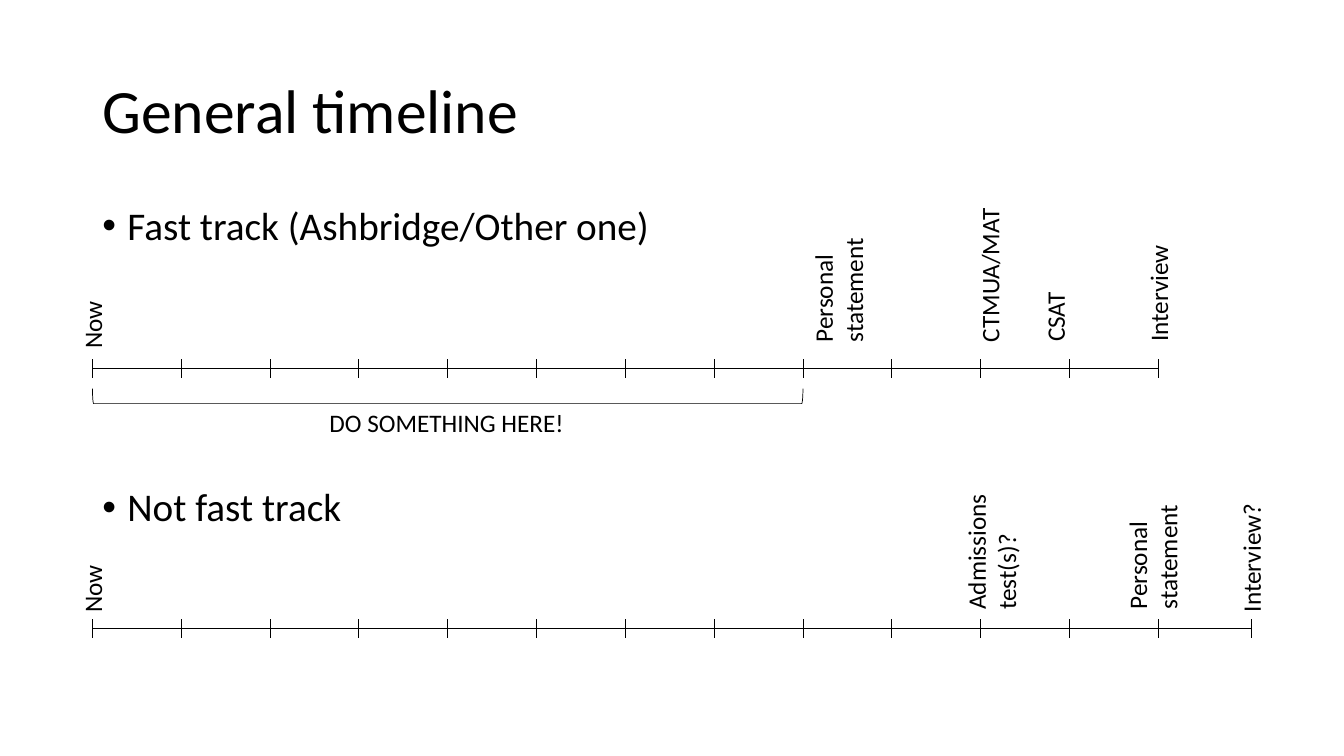
from lxml import etree
from pptx import Presentation
from pptx.dml.color import RGBColor
from pptx.enum.shapes import MSO_CONNECTOR, MSO_SHAPE
from pptx.enum.text import MSO_ANCHOR, PP_ALIGN
from pptx.oxml.ns import qn
from pptx.util import Pt

STRAIGHT = MSO_CONNECTOR.STRAIGHT
BRACKET = MSO_SHAPE.RIGHT_BRACKET
MIDDLE, TOP = MSO_ANCHOR.MIDDLE, MSO_ANCHOR.TOP
LEFT, CENTER = PP_ALIGN.LEFT, PP_ALIGN.CENTER

FONT = "Calibri"
BLACK = "000000"
STEP = 63.44
TICK = 6.6
LABEL_HEIGHT = {1: 29.1, 2: 50.9}


def colour(hex_string):
    return RGBColor.from_string(hex_string)


def set_text(s, text, size, align=LEFT, anchor=TOP):
    tf = s.text_frame
    tf.word_wrap = True
    tf.vertical_anchor = anchor
    tf.text = text
    p = tf.paragraphs[0]
    p.alignment = align
    font = p.runs[0].font
    font.name, font.size = FONT, Pt(size)
    font.color.rgb = colour(BLACK)
    return p


def add_text(slide, text, size, left, top, width, height, align=LEFT):
    s = slide.shapes.add_textbox(Pt(left), Pt(top), Pt(width), Pt(height))
    return s, set_text(s, text, size, align)


def add_title(slide, text, left, top, width, height):
    s = slide.shapes.title
    s.left, s.top, s.width, s.height = Pt(left), Pt(top), Pt(width), Pt(height)
    set_text(s, text, 44, anchor=MIDDLE).line_spacing = 0.9


def add_bullet(slide, text, left, top, width, height):
    p = add_text(slide, text, 28, left, top, width, height)[1]
    p.line_spacing = 0.9
    p.space_before = Pt(10)
    pPr = p._p.get_or_add_pPr()
    pPr.set("marL", str(Pt(18)))
    pPr.set("indent", str(Pt(-18)))
    etree.SubElement(pPr, qn("a:buFont")).set("typeface", "Arial")
    etree.SubElement(pPr, qn("a:buChar")).set("char", "•")


def add_line(slide, x1, y1, x2, y2):
    c = slide.shapes.add_connector(STRAIGHT, Pt(x1), Pt(y1), Pt(x2), Pt(y2))
    c.line.color.rgb = colour(BLACK)
    c.line.width = Pt(0.5)
    etree.SubElement(c._element.spPr, qn("a:effectLst"))


def add_label(slide, text, centre, bottom, length, lines):
    height = LABEL_HEIGHT[lines]
    s, p = add_text(slide, text, 18, centre - length / 2,
                    bottom - length / 2 - height / 2, length, height)
    s.rotation = 270


def add_track(slide, heading, labels, ticks, left, top, axis_offset):
    add_bullet(slide, heading, left, top, 620, 48)
    axis = top + axis_offset
    add_line(slide, left, axis, left + ticks[-1], axis)
    for x in ticks:
        add_line(slide, left + x, axis - TICK, left + x, axis + TICK)
    for text, x, gap, length, lines in labels:
        add_label(slide, text, left + x, axis - gap, length, lines)


def add_bracket(slide, text, left, top, width, depth):
    s = slide.shapes.add_shape(BRACKET, Pt(left + (width - depth) / 2),
                               Pt(top - (width - depth) / 2), Pt(depth), Pt(width))
    s.rotation = 90
    s.shadow.inherit = False
    s.fill.background()
    s.line.color.rgb = colour(BLACK)
    s.line.width = Pt(0.5)
    add_text(slide, text, 18, left - 0.7, top + depth - 0.7, width, 29.1, CENTER)


def main():
    prs = Presentation()
    prs.slide_width, prs.slide_height = Pt(960), Pt(540)
    slide = prs.slides.add_slide(prs.slide_layouts[5])
    add_title(slide, "General timeline", 66, 28.8, 828, 104.4)
    fast_labels = [
        ("Now", 0, 6.8, 55, 1),
        ("Personal statement", 532.8, 11.5, 90.7, 2),
        ("CTMUA/MAT", 640.8, 11.5, 118, 1),
        ("CSAT", 687.6, 11.8, 90.7, 1),
        ("Interview", 761.4, 11.8, 90, 1),
    ]
    slow_labels = [
        ("Now", 0, 4.3, 55, 1),
        ("Admissions test(s)?", 642.2, 6.5, 132.5, 2),
        ("Personal statement", 757.4, 6.8, 90.7, 2),
        ("Interview?", 827.6, 4.7, 99, 1),
    ]
    ticks = [i * STEP for i in range(13)]
    add_track(slide, "Fast track (Ashbridge/Other one)", fast_labels, ticks,
              66, 144, 119.1)
    add_bracket(slide, "DO SOMETHING HERE!", 66, 277.5, 8 * STEP, 10.8)
    add_track(slide, "Not fast track", slow_labels, ticks + [828],
              66, 344.9, 104.2)
    prs.save("out.pptx")


if __name__ == "__main__":
    main()
